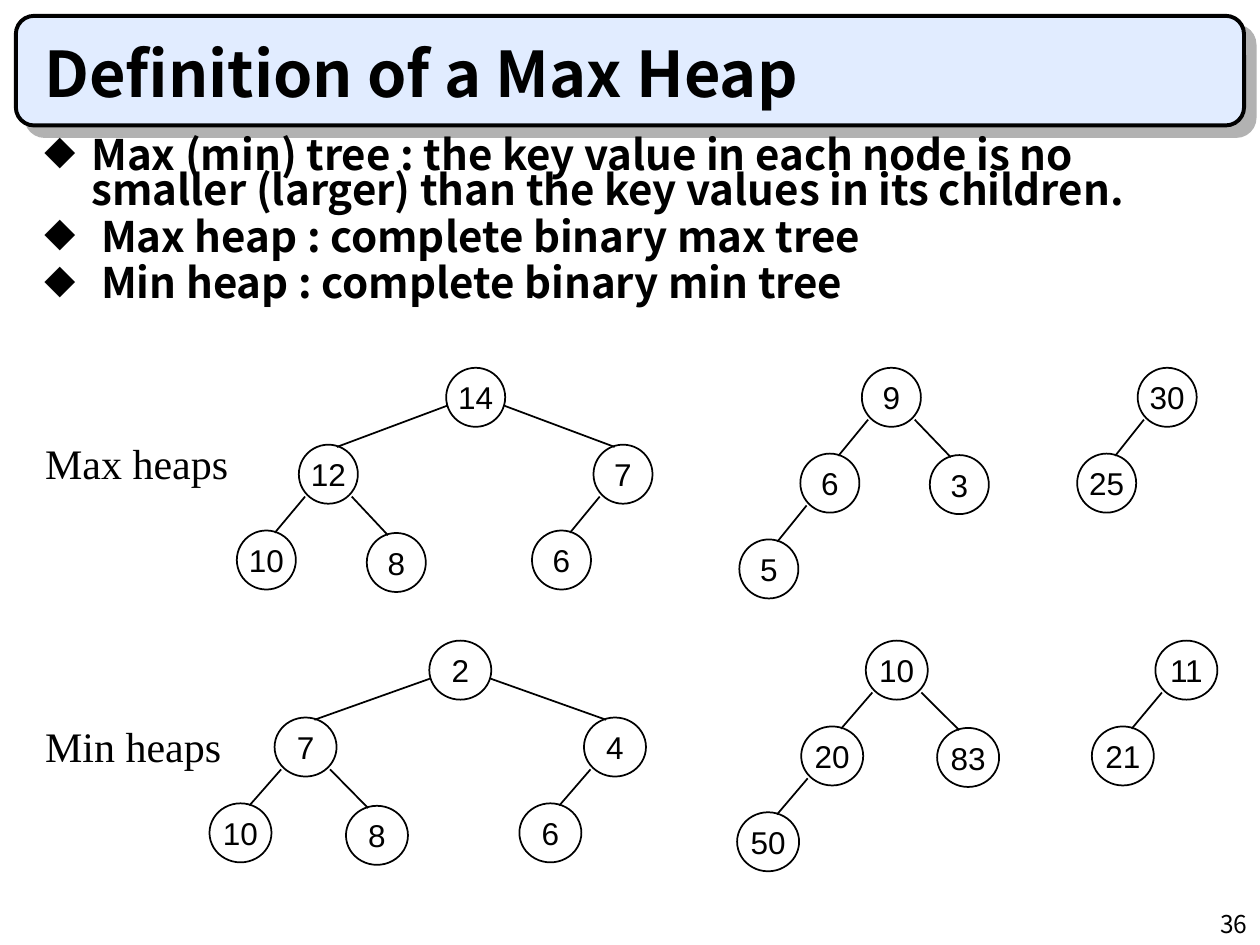
import lxml.etree
import pptx
import pptx.dml.color
import pptx.enum.shapes
import pptx.enum.text
import pptx.oxml.ns
import pptx.util

Cm, Pt = pptx.util.Cm, pptx.util.Pt
ALIGN = pptx.enum.text.PP_ALIGN
ANCHOR = pptx.enum.text.MSO_ANCHOR
SHAPE = pptx.enum.shapes.MSO_SHAPE
qn = pptx.oxml.ns.qn

COLORS = {"ink": "000000", "banner": "E1ECFF", "shadow": "B2B2B2"}
SANS, SERIF, NODE_FONT = "Noto Sans CJK KR", "Times New Roman", "Arial"

TITLE = "Definition of a Max Heap"
# text and hanging indent in cm
BULLETS = [
    ("Max (min) tree : the key value in each node is no smaller (larger) "
     "than the key values in its children.", 0.95),
    ("Max heap : complete binary max tree", 1.15),
    ("Min heap : complete binary min tree", 1.15),
]
PAGE_NUMBER = "36"

# Node centres in cm, and the index of each node's parent
NODES = [
    (9.59, 8.01, None), (6.62, 9.56, 0), (5.37, 11.29, 1), (7.99, 11.34, 1),
    (12.56, 9.56, 0), (11.32, 11.29, 4),
    (17.97, 8.01, None), (16.73, 9.74, 6), (19.34, 9.77, 6), (15.5, 11.47, 7),
    (23.53, 8.01, None), (22.31, 9.74, 10),
]
# Each row of heaps stretches and shifts the same layout
ROWS = [
    {"label": "Max heaps", "label_top": 8.69, "stretch": 1, "shift": (0, 0),
     "keys": [14, 12, 10, 8, 7, 6, 9, 6, 3, 5, 30, 25]},
    {"label": "Min heaps", "label_top": 14.4, "stretch": 1.05, "shift": (-0.79, 5.5),
     "keys": [2, 7, 10, 8, 4, 6, 10, 20, 83, 50, 11, 21]},
]
NODE_SIZE = 1.19
WIDE_GAP = 2


def rgb(name):
    return pptx.dml.color.RGBColor.from_string(COLORS[name])


def write(frame, text, size, font=SANS, bold=False, align=ALIGN.LEFT,
          anchor=ANCHOR.TOP, wrap=True, new=False):
    frame.word_wrap = wrap
    frame.vertical_anchor = anchor
    frame.auto_size = pptx.enum.text.MSO_AUTO_SIZE.NONE
    para = frame.add_paragraph() if new else frame.paragraphs[0]
    para.alignment = align
    span = para.add_run()
    span.text = text
    span.font.size = Pt(size)
    span.font.name = font
    span.font.bold = bold
    span.font.color.rgb = rgb("ink")
    return para


def add_box(page, left, top, width, height):
    return page.shapes.add_textbox(Cm(left), Cm(top), Cm(width), Cm(height)).text_frame


def add_bullet(para, indent):
    props = para._p.get_or_add_pPr()
    props.set("marL", str(Cm(indent)))
    props.set("indent", str(-Cm(indent)))
    color = lxml.etree.SubElement(props, qn("a:buClr"))
    lxml.etree.SubElement(color, qn("a:srgbClr"), val=COLORS["ink"])
    lxml.etree.SubElement(props, qn("a:buSzPct"), val="75000")
    lxml.etree.SubElement(props, qn("a:buFont"), typeface=SANS)
    lxml.etree.SubElement(props, qn("a:buChar"), char="◆")


def add_banner(page):
    banner = page.shapes.add_shape(
        SHAPE.ROUNDED_RECTANGLE, Cm(0.32), Cm(0.32), Cm(24.76), Cm(2.21))
    banner.fill.solid()
    banner.fill.fore_color.rgb = rgb("banner")
    banner.line.color.rgb = rgb("ink")
    banner.line.width = Pt(2.25)
    effects = lxml.etree.SubElement(banner._element.spPr, qn("a:effectLst"))
    shadow = lxml.etree.SubElement(
        effects, qn("a:outerShdw"), dist=str(Pt(8.5)), dir="2700000",
        algn="ctr", rotWithShape="0")
    lxml.etree.SubElement(shadow, qn("a:srgbClr"), val=COLORS["shadow"])


def add_edge(group, parent, child, stretch):
    """Join two node centres from rim to rim."""
    gap = child[0] - parent[0]
    side = 1 if gap > 0 else -1
    out_x, out_y = (0.58, 0.17) if abs(gap) > WIDE_GAP * stretch else (0.47, 0.45)
    edge = group.shapes.add_connector(
        pptx.enum.shapes.MSO_CONNECTOR.STRAIGHT,
        Cm(parent[0] + side * out_x * stretch), Cm(parent[1] + out_y),
        Cm(child[0] - side * 0.17 * stretch), Cm(child[1] - 0.55))
    edge.line.color.rgb = rgb("ink")
    edge.line.width = Pt(1)
    lxml.etree.SubElement(edge._element.spPr, qn("a:effectLst"))


def add_node(group, key, center, stretch):
    width = NODE_SIZE * stretch
    node = group.shapes.add_shape(
        SHAPE.OVAL, Cm(center[0] - width / 2), Cm(center[1] - NODE_SIZE / 2),
        Cm(width), Cm(NODE_SIZE))
    node.shadow.inherit = False
    node.fill.background()
    node.line.color.rgb = rgb("ink")
    node.line.width = Pt(1)
    write(node.text_frame, str(key), 18, font=NODE_FONT, align=ALIGN.CENTER,
          anchor=ANCHOR.MIDDLE, wrap=False)


def add_heaps(page, row):
    group = page.shapes.add_group_shape()
    stretch, (shift_x, shift_y) = row["stretch"], row["shift"]
    centers = [(x * stretch + shift_x, y + shift_y) for x, y, _ in NODES]
    for key, center, (_, _, parent) in zip(row["keys"], centers, NODES):
        add_node(group, key, center, stretch)
        if parent is not None:
            add_edge(group, centers[parent], center, stretch)
    write(add_box(page, 0.66, row["label_top"], 4.15, 1.27), row["label"], 24,
          font=SERIF, wrap=False)


def main():
    deck = pptx.Presentation()
    deck.slide_width, deck.slide_height = Cm(25.4), Cm(19.05)
    page = deck.slides.add_slide(deck.slide_layouts[5])

    add_banner(page)
    title = page.shapes.title
    title.left, title.top, title.width, title.height = Cm(0.64), Cm(0.64), Cm(23.93), Cm(1.7)
    write(title.text_frame, TITLE, 36, bold=True, anchor=ANCHOR.BOTTOM)
    page.shapes._spTree.append(title._element)  # in front of the banner

    body = add_box(page, 0.64, 2.74, 23.93, 4.45)
    for index, (text, indent) in enumerate(BULLETS):
        para = write(body, text, 24, bold=True, new=index > 0)
        para.line_spacing = 0.7
        if index:
            para.space_before = Pt(6.5)
        add_bullet(para, indent)

    for row in ROWS:
        add_heaps(page, row)
    write(add_box(page, 20.12, 18.21, 5.28, 0.84), PAGE_NUMBER, 14, align=ALIGN.RIGHT)
    deck.save("out.pptx")


if __name__ == "__main__":
    main()
